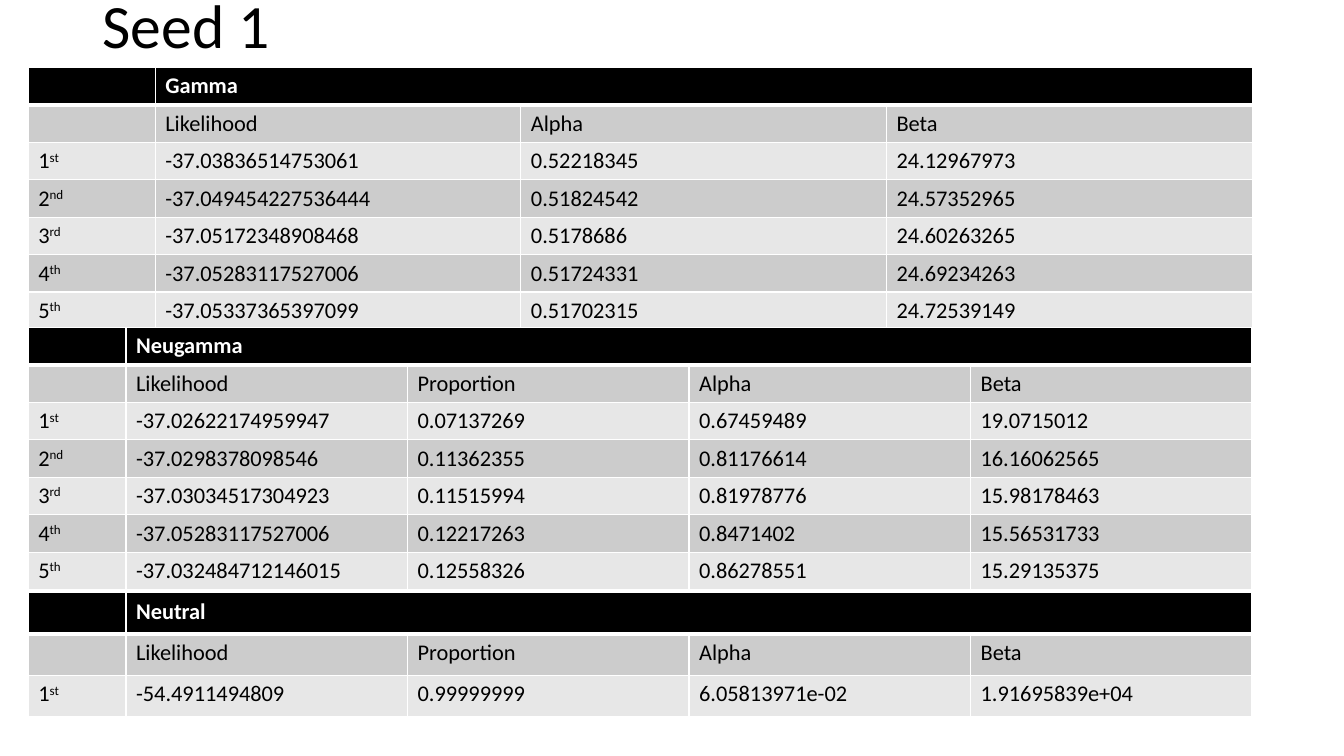
import pptx
import pptx.dml.color
import pptx.enum.text
import pptx.oxml.ns
import pptx.util
import lxml.etree

Inches = pptx.util.Inches
FONT = "Calibri"
BLACK, WHITE = "000000", "FFFFFF"
BANDS = ("CCCCCC", "E7E7E7")
ORDINALS = ("st", "nd", "rd", "th", "th")
TEXT_SIZE = 16

GAMMA = [
    ("Likelihood", "Alpha", "Beta"),
    ("-37.03836514753061", "0.52218345", "24.12967973"),
    ("-37.049454227536444", "0.51824542", "24.57352965"),
    ("-37.05172348908468", "0.5178686", "24.60263265"),
    ("-37.05283117527006", "0.51724331", "24.69234263"),
    ("-37.05337365397099", "0.51702315", "24.72539149"),
]
NEUGAMMA = [
    ("Likelihood", "Proportion", "Alpha", "Beta"),
    ("-37.02622174959947", "0.07137269", "0.67459489", "19.0715012"),
    ("-37.0298378098546", "0.11362355", "0.81176614", "16.16062565"),
    ("-37.03034517304923", "0.11515994", "0.81978776", "15.98178463"),
    ("-37.05283117527006", "0.12217263", "0.8471402", "15.56531733"),
    ("-37.032484712146015", "0.12558326", "0.86278551", "15.29135375"),
]
NEUTRAL = [
    ("Likelihood", "Proportion", "Alpha", "Beta"),
    ("-54.4911494809", "0.99999999", "6.05813971e-02", "1.91695839e+04"),
]


def color(value):
    return pptx.dml.color.RGBColor.from_string(value)


def add_child(parent, tag, **attributes):
    return lxml.etree.SubElement(parent, pptx.oxml.ns.qn(tag), **attributes)


def add_run(paragraph, text, size, text_color, bold=False, raised=False):
    run = paragraph.add_run()
    run.text = text
    run.font.name = FONT
    run.font.size = pptx.util.Pt(size)
    run.font.bold = bold
    run.font.color.rgb = color(text_color)
    if raised:
        run.font._element.set("baseline", "30000")


def style_cell(cell, fill, top=1, bottom=1):
    properties = cell._tc.get_or_add_tcPr()
    for side, width in (("L", 1), ("R", 1), ("T", top), ("B", bottom)):
        line = add_child(properties, "a:ln" + side, w=str(pptx.util.Pt(width)))
        add_child(add_child(line, "a:solidFill"), "a:srgbClr", val=WHITE)
    cell.fill.solid()
    cell.fill.fore_color.rgb = color(fill)
    paragraph = cell.text_frame.paragraphs[0]
    add_child(paragraph._p, "a:endParaRPr", sz=str(TEXT_SIZE * 100))
    return paragraph


def add_title(slide, box, text):
    frame = slide.shapes.add_textbox(*map(Inches, box)).text_frame
    frame.word_wrap = True
    frame.vertical_anchor = pptx.enum.text.MSO_ANCHOR.MIDDLE
    paragraph = frame.paragraphs[0]
    paragraph.line_spacing = 0.9
    add_run(paragraph, text, 44, BLACK)


def add_model_table(slide, box, label_width, model, records):
    left, top, width, height = box
    row_count, column_count = len(records) + 1, len(records[0]) + 1
    frame = slide.shapes.add_table(row_count, column_count, *map(Inches, box))
    table = frame.table
    for row in table.rows:
        row.height = Inches(height / row_count)
    for index, column in enumerate(table.columns):
        value_width = (width - label_width) / (column_count - 1)
        column.width = Inches(value_width if index else label_width)

    for column in range(column_count):
        paragraph = style_cell(table.cell(0, column), BLACK, bottom=3)
        if column == 1:
            add_run(paragraph, model, TEXT_SIZE, WHITE, bold=True)
    table.cell(0, 1).merge(table.cell(0, column_count - 1))

    for rank, record in enumerate(records):
        fill = BANDS[rank % 2]
        border = 1 if rank else 3
        label = style_cell(table.cell(rank + 1, 0), fill, top=border)
        if rank:
            add_run(label, str(rank), TEXT_SIZE, BLACK)
            add_run(label, ORDINALS[rank - 1], TEXT_SIZE, BLACK, raised=True)
        for column, value in enumerate(record, 1):
            paragraph = style_cell(table.cell(rank + 1, column), fill, top=border)
            add_run(paragraph, value, TEXT_SIZE, BLACK)


def build_seed_slide(presentation):
    slide = presentation.slides.add_slide(presentation.slide_layouts[6])
    add_title(slide, (0.92, -0.44, 11.5, 1.45), "Seed 1")
    left, width = 0.28, 12.14
    add_model_table(slide, (left, 0.67, width, 2.6), 1.26, "Gamma", GAMMA)
    add_model_table(slide, (left, 3.25, width, 2.6), 0.97, "Neugamma", NEUGAMMA)
    add_model_table(slide, (left, 5.88, width, 1.23), 0.97, "Neutral", NEUTRAL)


presentation = pptx.Presentation()
presentation.slide_width = Inches(13.33)
presentation.slide_height = Inches(7.5)
build_seed_slide(presentation)
presentation.save("out.pptx")
